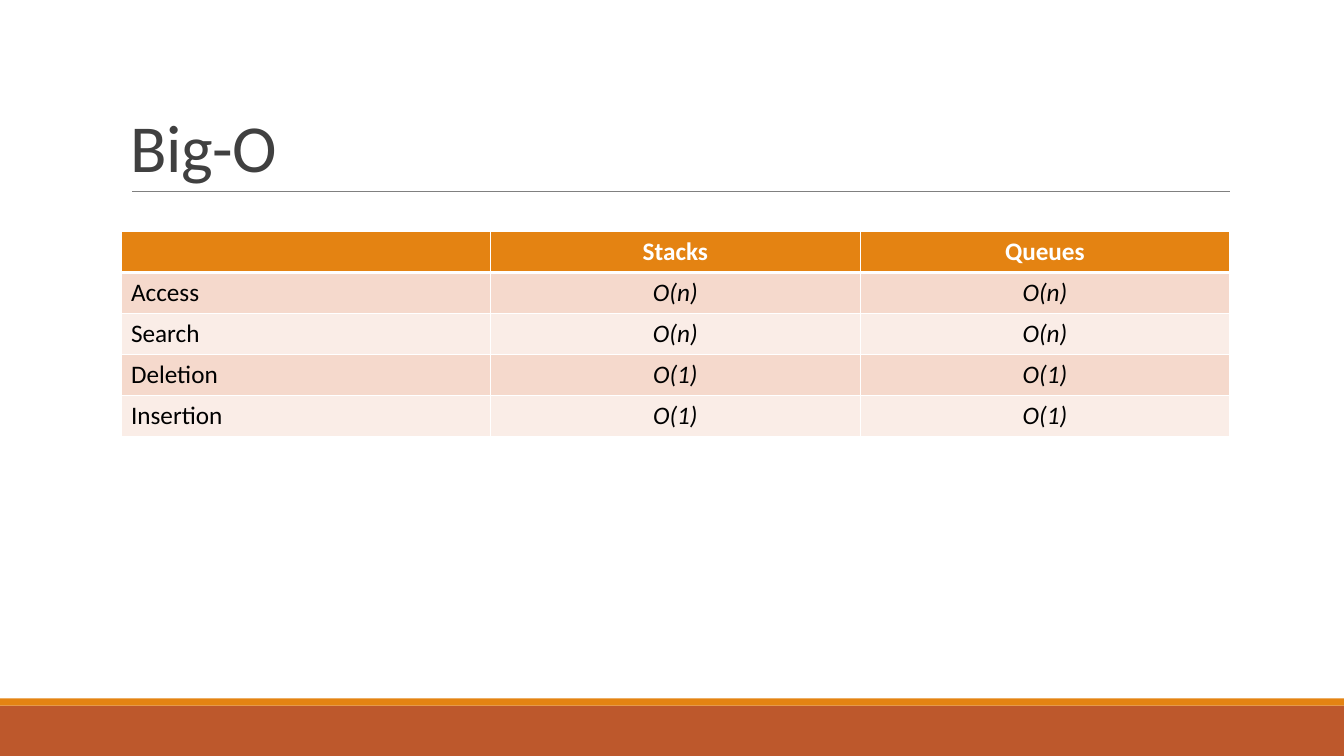
from pptx import Presentation
from pptx.dml.color import RGBColor
from pptx.enum.shapes import MSO_CONNECTOR, MSO_SHAPE
from pptx.enum.text import MSO_ANCHOR, PP_ALIGN
from pptx.oxml.ns import qn
from pptx.util import Cm, Pt
from lxml import etree

LINE = MSO_CONNECTOR.STRAIGHT
RECT = MSO_SHAPE.RECTANGLE
BOTTOM = MSO_ANCHOR.BOTTOM
LEFT, CENTER = PP_ALIGN.LEFT, PP_ALIGN.CENTER

TITLE = "Big-O"
ROWS = [
    ("", "Stacks", "Queues"),
    ("Access", "O(n)", "O(n)"),
    ("Search", "O(n)", "O(n)"),
    ("Deletion", "O(1)", "O(1)"),
    ("Insertion", "O(1)", "O(1)"),
]
THEME = {
    "font": "Calibri",
    "head": "E48312",
    "base": "BD582C",
    "bands": ("F5D9CC", "FAEDE7"),
    "title": "404040",
    "rule": "808080",
    "white": "FFFFFF",
    "ink": "000000",
    "big": 48,
    "body": 18,
}
WIDE, HIGH = 33.87, 19.05
SIDE, SPAN = 3.05, 27.94
TOP, STEP = 5.84, 1.03
BARS = [(17.78, 1.27, THEME["base"]), (17.6, 0.18, THEME["head"])]


def style(run, size, color, **extra):
    form = {"name": THEME["font"], "size": Pt(size), **extra}
    for key, value in form.items():
        setattr(run.font, key, value)
    run.font.color.rgb = RGBColor.from_string(color)


def paint(fill, color):
    fill.solid()
    fill.fore_color.rgb = RGBColor.from_string(color)


def border(cell, widths):
    props = cell._tc.get_or_add_tcPr()
    for side, width in zip("LRTB", widths):
        edge = etree.SubElement(props, qn(f"a:ln{side}"), w=str(Pt(width)))
        solid = etree.SubElement(edge, qn("a:solidFill"))
        etree.SubElement(solid, qn("a:srgbClr"), val=THEME["white"])


def add_frame(slide):
    for top, high, color in BARS:
        bar = slide.shapes.add_shape(RECT, 0, Cm(top), Cm(WIDE), Cm(high))
        bar.shadow.inherit = False
        paint(bar.fill, color)
        bar.line.fill.background()
    rule = slide.shapes.add_connector(LINE, Cm(3.33), Cm(4.83), Cm(31), Cm(4.83))
    rule.line.color.rgb = RGBColor.from_string(THEME["rule"])
    rule.line.width = Pt(0.5)
    etree.SubElement(rule._element.spPr, qn("a:effectLst"))


def add_title(slide):
    box = slide.shapes.add_textbox(Cm(SIDE), Cm(0.79), Cm(SPAN), Cm(4.04))
    frame = box.text_frame
    frame.word_wrap = True
    frame.vertical_anchor = BOTTOM
    para = frame.paragraphs[0]
    para.line_spacing = 0.85
    run = para.add_run()
    run.text = TITLE
    style(run, THEME["big"], THEME["title"])
    run.font._element.set("spc", "-50")


def add_grid(slide):
    count = len(ROWS)
    cols = len(ROWS[0])
    grid = slide.shapes.add_table(
        count, cols, Cm(SIDE), Cm(TOP), Cm(SPAN), Cm(STEP * count)
    ).table
    for col in grid.columns:
        col.width = Cm(SPAN / cols)
    for r, row in enumerate(ROWS):
        grid.rows[r].height = Cm(STEP)
        head = r == 0
        back = THEME["head"] if head else THEME["bands"][(r - 1) % 2]
        color = THEME["white"] if head else THEME["ink"]
        for c, text in enumerate(row):
            cell = grid.cell(r, c)
            border(cell, (1, 1, 3 if r == 1 else 1, 3 if head else 1))
            paint(cell.fill, back)
            para = cell.text_frame.paragraphs[0]
            para.alignment = CENTER if c else LEFT
            if text:
                run = para.add_run()
                run.text = text
                style(run, THEME["body"], color, bold=head, italic=not head and c > 0)


def main():
    deck = Presentation()
    deck.slide_width, deck.slide_height = Cm(WIDE), Cm(HIGH)
    slide = deck.slides.add_slide(deck.slide_layouts[6])
    paint(slide.background.fill, THEME["white"])
    add_frame(slide)
    add_title(slide)
    add_grid(slide)
    deck.save("out.pptx")


if __name__ == "__main__":
    main()
